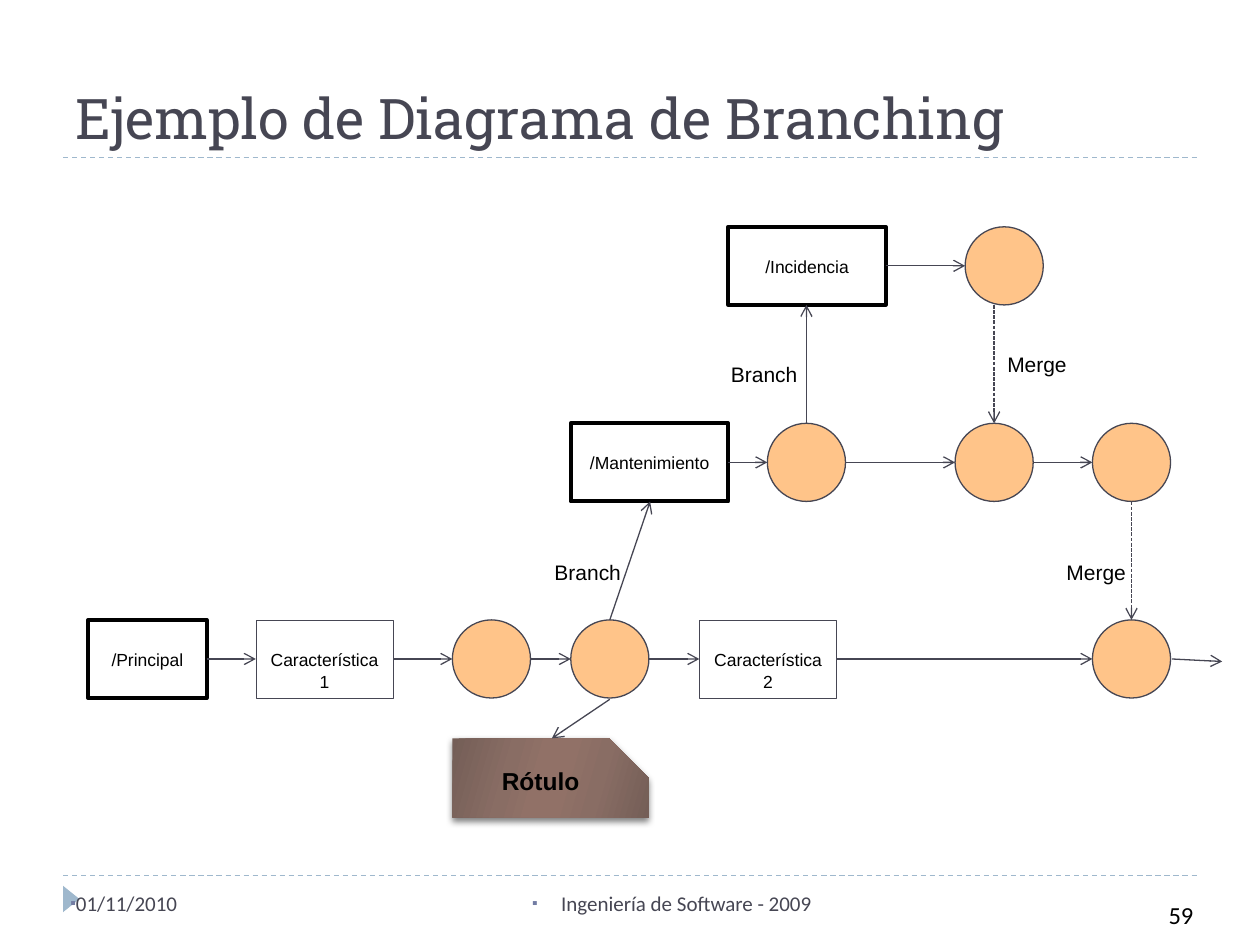
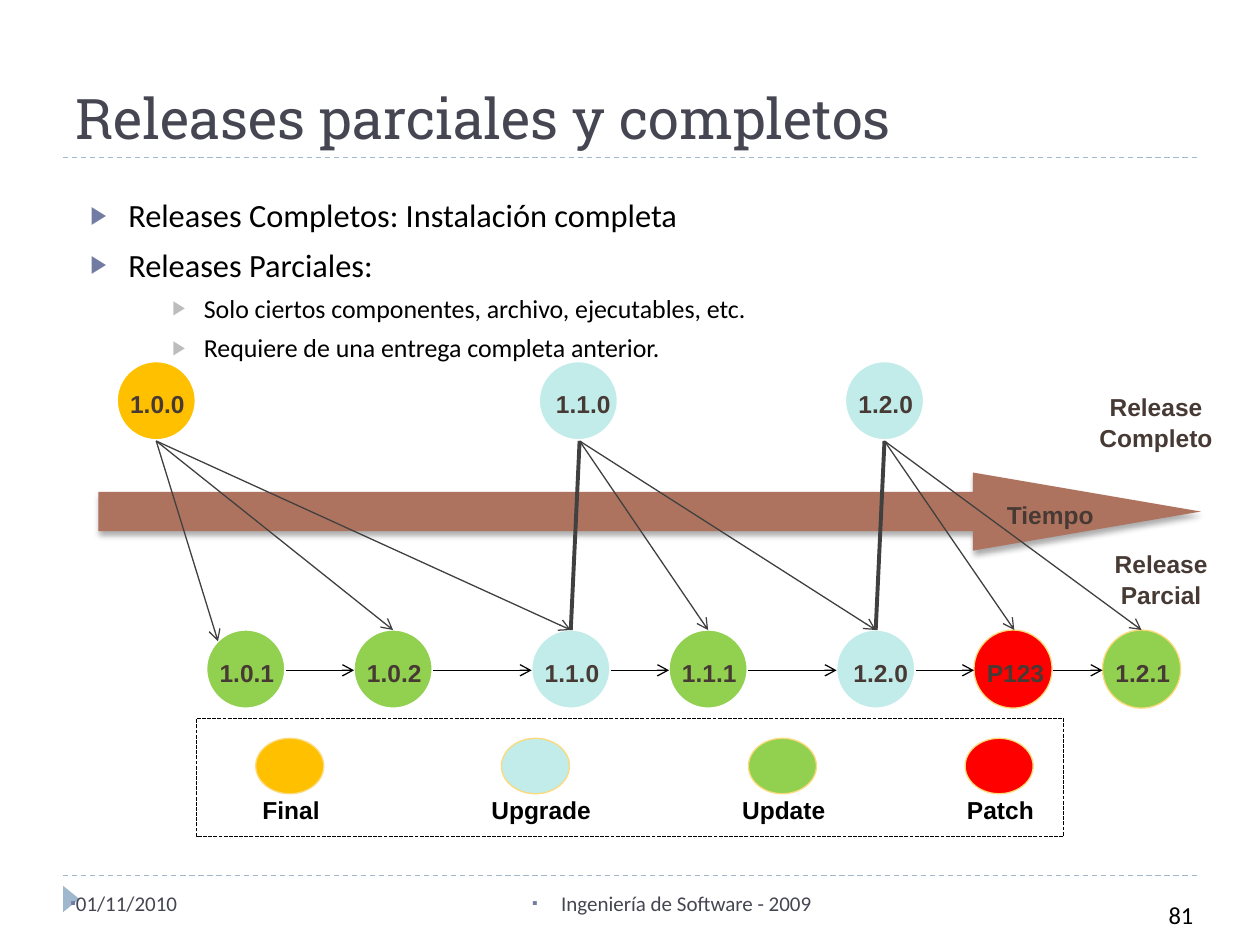
"""Build two slides on branching and on partial and full releases."""
from dataclasses import dataclass
from itertools import pairwise
from typing import Optional

from pptx import Presentation
from pptx import oxml, presentation as pres, slide as sl, util as u
from pptx.dml import color as dml_color
from pptx.enum import dml, shapes, text
from pptx.oxml import ns, xmlchemy
from pptx.shapes import autoshape, connector
from pptx.text import text as txt


@dataclass(frozen=True)
class Theme:
    ink: str = "464653"
    black: str = "000000"
    white: str = "FFFFFF"
    divider: str = "9FB8CD"
    bullet: str = "727CA3"
    sub_bullet: str = "BDBDBD"
    commit: str = "FFC489"
    time_band: str = "AE735E"
    label: str = "473A35"
    link: str = "404040"
    final: str = "FFC000"
    upgrade: str = "C2ECEA"
    update: str = "92D050"
    patch: str = "FF0000"
    gold: str = "FADA7A"
    title_font: str = "Roboto Slab"
    body_font: str = "Calibri"
    diagram_font: str = "Arial"
    title_size: float = 32
    body_size: float = 18.5
    sub_size: float = 14.8
    label_size: float = 14
    small_size: float = 12
    node_size: float = 10


THEME = Theme()
CIRCLE = 0.62
SYS_DASH = dml.MSO_LINE.SQUARE_DOT


@dataclass(frozen=True)
class Style:
    size: float
    color: str = THEME.black
    font: str = THEME.diagram_font
    bold: bool = False
    align: text.PP_ALIGN = text.PP_ALIGN.CENTER
    line_spacing: Optional[float] = 1.05
    space_before: float = 0


@dataclass(frozen=True)
class Bullet:
    char: str
    color: str
    percent: int
    margin: float = 0
    hanging: float = 0


@dataclass(frozen=True)
class Node:
    left: float
    width: float = CIRCLE
    name: str = ""
    branch: bool = False


@dataclass(frozen=True)
class Version:
    name: str
    left: float
    fill: str
    line: str = THEME.white
    label_width: float = 0.64


@dataclass(frozen=True)
class Caption:
    words: str
    left: float
    top: float
    width: float
    height: float = 0.35
    wrap: bool = False


NODE_TEXT = Style(THEME.node_size)
CAPTION_TEXT = Style(THEME.small_size)
LABEL_TEXT = Style(THEME.label_size, THEME.label, bold=True)
LEGEND_TEXT = Style(THEME.label_size, bold=True)
TITLE_TEXT = Style(THEME.title_size, THEME.ink, THEME.title_font, align=text.PP_ALIGN.LEFT, line_spacing=None)
DATE_TEXT = Style(THEME.small_size, THEME.ink, THEME.body_font, align=text.PP_ALIGN.LEFT, line_spacing=None)
FOOTER_TEXT = Style(THEME.small_size, THEME.ink, THEME.body_font, align=text.PP_ALIGN.RIGHT, line_spacing=None)
NUMBER_TEXT = Style(THEME.label_size, font=THEME.body_font, align=text.PP_ALIGN.RIGHT, line_spacing=None)
BODY_TEXT = Style(THEME.body_size, font=THEME.body_font, align=text.PP_ALIGN.LEFT, line_spacing=None, space_before=6)
SUB_TEXT = Style(THEME.sub_size, font=THEME.body_font, align=text.PP_ALIGN.LEFT, line_spacing=None, space_before=5)
BODY_BULLET = Bullet("▶", THEME.bullet, 76, 0.3, 0.3)
SUB_BULLET = Bullet("▶", THEME.sub_bullet, 76, 0.9, 0.25)

ROWS: dict[float, list[Node]] = {
    4.92: [Node(0.7, 0.94, "/Principal", True), Node(2.03, 1.09, "Característica 1"), Node(3.59),
           Node(4.53), Node(5.55, 1.09, "Característica 2"), Node(8.67)],
    3.36: [Node(4.53, 1.25, "/Mantenimiento", True), Node(6.09), Node(7.58), Node(8.67)],
    1.8: [Node(5.78, 1.25, "/Incidencia", True), Node(7.66)],
}
BRANCH_CAPTIONS = [Caption("Branch", 4.3, 4.38, 0.73, 0.3), Caption("Branch", 5.7, 2.81, 0.73, 0.3),
                   Caption("Merge", 7.89, 2.73, 0.68, 0.3), Caption("Merge", 8.36, 4.38, 0.68, 0.3)]

FULL_RELEASES = [Version("1.0.0", 0.93, THEME.final), Version("1.1.0", 4.28, THEME.upgrade, label_width=0.7),
                 Version("1.2.0", 6.71, THEME.upgrade)]
PARTIAL_RELEASES = [Version("1.0.1", 1.64, THEME.update), Version("1.0.2", 2.81, THEME.update),
                    Version("1.1.0", 4.22, THEME.upgrade), Version("1.1.1", 5.31, THEME.update),
                    Version("1.2.0", 6.64, THEME.upgrade, label_width=0.7),
                    Version("P123", 7.73, THEME.patch, THEME.gold, 0.66),
                    Version("1.2.1", 8.75, THEME.update, THEME.gold)]
FANS = {1.24: [(1.73, 5.09), (3.12, 5), (4.53, 5)], 4.6: [(5.62, 5), (6.95, 5)], 7.02: [(8.05, 5), (9.06, 5)]}
SAME_RELEASE = [(4.6, 4.53), (7.02, 6.95)]
LEGEND = [Version("Final", 2.03, THEME.final, label_width=1.02),
          Version("Upgrade", 3.98, THEME.upgrade, label_width=1.09),
          Version("Update", 5.94, THEME.update, label_width=1.02),
          Version("Patch", 7.66, THEME.patch, label_width=1.02)]
RELEASE_CAPTIONS = [Caption("Tiempo", 7.89, 3.91, 0.89), Caption("Release Parcial", 8.67, 4.3, 1.09, 0.6, True),
                    Caption("Release Completo", 8.59, 3.05, 1.17, 0.6, True)]


def rgb(color: str) -> dml_color.RGBColor:
    return dml_color.RGBColor.from_string(color)


def add_child(parent: xmlchemy.BaseOxmlElement, tag: str, **attributes: object) -> xmlchemy.BaseOxmlElement:
    child = xmlchemy.OxmlElement(tag)
    for name, value in attributes.items():
        child.set(name, str(value))
    parent.append(child)
    return child


def set_bullet(paragraph: txt._Paragraph, bullet: Bullet) -> None:
    properties = paragraph._p.get_or_add_pPr()
    properties.set("marL", str(u.Inches(bullet.margin)))
    properties.set("indent", str(-u.Inches(bullet.hanging)))
    add_child(add_child(properties, "a:buClr"), "a:srgbClr", val=bullet.color)
    add_child(properties, "a:buSzPct", val=bullet.percent * 1000)
    add_child(properties, "a:buFont", typeface=THEME.diagram_font)
    add_child(properties, "a:buChar", char=bullet.char)


def write(paragraph: txt._Paragraph, words: str, style: Style, bullet: Optional[Bullet] = None) -> None:
    if bullet:
        set_bullet(paragraph, bullet)
    paragraph.alignment = style.align
    if style.line_spacing:
        paragraph.line_spacing = style.line_spacing
    run = paragraph.add_run()
    run.text = words
    run.font.name = style.font
    run.font.size = u.Pt(style.size)
    run.font.bold = style.bold
    run.font.color.rgb = rgb(style.color)


def add_text(slide: sl.Slide, caption: Caption, style: Style, bullet: Optional[Bullet] = None) -> None:
    box = slide.shapes.add_textbox(*map(u.Inches, (caption.left, caption.top, caption.width, caption.height)))
    box.text_frame.word_wrap = caption.wrap
    write(box.text_frame.paragraphs[0], caption.words, style, bullet)


def add_shape(slide: sl.Slide, kind: shapes.MSO_SHAPE, left: float, top: float, width: float, height: float,
              fill: Optional[str] = None, line: Optional[str] = None, weight: float = 0.75) -> autoshape.Shape:
    shape = slide.shapes.add_shape(kind, *map(u.Inches, (left, top, width, height)))
    shape.shadow.inherit = False
    if fill:
        shape.fill.solid()
        shape.fill.fore_color.rgb = rgb(fill)
    else:
        shape.fill.background()
    if line:
        shape.line.color.rgb = rgb(line)
        shape.line.width = u.Pt(weight)
    else:
        shape.line.fill.background()
    shape.text_frame.vertical_anchor = text.MSO_ANCHOR.TOP
    return shape


def add_line(slide: sl.Slide, start: tuple[float, float], end: tuple[float, float], color: str = THEME.ink,
             weight: float = 0.75, dash: Optional[dml.MSO_LINE] = None, arrow: bool = True) -> connector.Connector:
    line = slide.shapes.add_connector(shapes.MSO_CONNECTOR.STRAIGHT, *map(u.Inches, start + end))
    line.line.color.rgb = rgb(color)
    line.line.width = u.Pt(weight)
    if dash:
        line.line.dash_style = dash
    if arrow:
        add_child(line.line._get_or_add_ln(), "a:tailEnd", type="arrow")
    add_child(line._element.spPr, "a:effectLst")
    return line


def set_shadow(shape: autoshape.Shape, alpha: int, blur: float, distance: float) -> None:
    effects = shape._element.spPr.find(ns.qn("a:effectLst"))
    shadow = add_child(effects, "a:outerShdw", blurRad=u.Pt(blur), dist=u.Pt(distance), dir=90 * 60000,
                       algn="ctr", rotWithShape=0)
    add_child(add_child(shadow, "a:srgbClr", val=THEME.black), "a:alpha", val=alpha * 1000)


def set_gradient(shape: autoshape.Shape, stops: list[tuple[int, str]], angle: int) -> None:
    entries = "".join(f'<a:gs pos="{position * 1000}"><a:srgbClr val="{color}"/></a:gs>' for position, color in stops)
    gradient = oxml.parse_xml(f'<a:gradFill {ns.nsdecls("a")} rotWithShape="1"><a:gsLst>{entries}</a:gsLst>'
                              f'<a:lin ang="{angle * 60000}" scaled="0"/></a:gradFill>')
    properties = shape._element.spPr
    properties.replace(properties.find(ns.qn("a:noFill")), gradient)


def start_slide(presentation: pres.Presentation, title: str, number: int) -> sl.Slide:
    slide = presentation.slides.add_slide(presentation.slide_layouts[5])
    heading = slide.shapes.title
    heading.left, heading.top, heading.width, heading.height = map(u.Inches, (0.5, 0.17, 9, 1.08))
    heading.text_frame.vertical_anchor = text.MSO_ANCHOR.BOTTOM
    write(heading.text_frame.paragraphs[0], title, TITLE_TEXT)
    for y in (6.95, 1.25):
        add_line(slide, (0.5, y), (9.5, y), THEME.divider, dash=dml.MSO_LINE.DASH, arrow=False)
    marker = add_shape(slide, shapes.MSO_SHAPE.ISOSCELES_TRIANGLE, 0.46, 7.07, 0.21, 0.13, THEME.divider)
    marker.rotation = 90
    add_text(slide, Caption("01/11/2010", 0.46, 7.02, 2.33, 0.4, True), DATE_TEXT, Bullet("▪", THEME.bullet, 76))
    add_text(slide, Caption("Ingeniería de Software - 2009", 3.37, 7.02, 3.17, 0.4, True), FOOTER_TEXT,
             Bullet("▪", THEME.bullet, 76, 0.23, 0.23))
    add_text(slide, Caption(str(number), 7.66, 7.09, 1.91, 0.33, True), NUMBER_TEXT)
    return slide


def add_node(slide: sl.Slide, node: Node, top: float) -> None:
    if not node.name:
        add_shape(slide, shapes.MSO_SHAPE.OVAL, node.left, top, CIRCLE, CIRCLE, THEME.commit, THEME.ink)
        return
    color, weight = (THEME.black, 2.25) if node.branch else (THEME.ink, 0.25)
    box = add_shape(slide, shapes.MSO_SHAPE.RECTANGLE, node.left, top, node.width, CIRCLE, None, color, weight)
    box.text_frame.margin_top = u.Inches(0.22)
    write(box.text_frame.paragraphs[0], node.name, NODE_TEXT)


def build_branching(presentation: pres.Presentation) -> None:
    slide = start_slide(presentation, "Ejemplo de Diagrama de Branching", 59)
    for top, nodes in ROWS.items():
        middle = top + CIRCLE / 2
        for node in nodes:
            add_node(slide, node, top)
        for before, after in pairwise(nodes):
            add_line(slide, (before.left + before.width, middle), (after.left, middle))
    add_line(slide, (9.3, 5.23), (9.7, 5.25))
    add_line(slide, (4.84, 4.92), (5.16, 3.98))
    add_line(slide, (6.4, 3.36), (6.4, 2.42))
    add_line(slide, (7.89, 2.42), (7.89, 3.36), dash=SYS_DASH)
    add_line(slide, (8.98, 3.98), (8.98, 4.92), dash=SYS_DASH)
    for caption in BRANCH_CAPTIONS:
        add_text(slide, caption, CAPTION_TEXT)
    tag = add_shape(slide, shapes.MSO_SHAPE.SNIP_1_RECTANGLE, 3.59, 5.86, 1.56, 0.63)
    tag.adjustments[0] = 0.5
    set_gradient(tag, [(0, "745E57"), (30, "896D64"), (45, "917167"), (55, "917167"), (73, "896D64"),
                       (100, "745E57")], 16)
    set_shadow(tag, 50, 4, 2)
    write(tag.text_frame.paragraphs[0], "Rótulo", LEGEND_TEXT)
    add_line(slide, (4.84, 5.55), (4.38, 5.86))


def add_body(slide: sl.Slide) -> None:
    frame = slide.shapes.add_textbox(*map(u.Inches, (0.62, 1.5, 8.83, 1.25))).text_frame
    frame.word_wrap = True
    lines = [("Releases Completos: Instalación completa", BODY_TEXT, BODY_BULLET),
             ("Releases Parciales:", BODY_TEXT, BODY_BULLET),
             ("Solo ciertos componentes, archivo, ejecutables, etc.", SUB_TEXT, SUB_BULLET),
             ("Requiere de una entrega completa anterior.", SUB_TEXT, SUB_BULLET)]
    for index, (words, style, bullet) in enumerate(lines):
        paragraph = frame.add_paragraph() if index else frame.paragraphs[0]
        write(paragraph, words, style, bullet)
        if index:
            paragraph.space_before = u.Pt(style.space_before)


def build_releases(presentation: pres.Presentation) -> None:
    slide = start_slide(presentation, "Releases parciales y completos", 81)
    band = add_shape(slide, shapes.MSO_SHAPE.RIGHT_ARROW, 0.78, 3.75, 8.75, CIRCLE, THEME.time_band)
    band.adjustments[1] = 2.918
    set_shadow(band, 32, 3.5, 2.2)
    add_body(slide)
    for top, versions in ((2.87, FULL_RELEASES), (5, PARTIAL_RELEASES)):
        for version in versions:
            add_shape(slide, shapes.MSO_SHAPE.OVAL, version.left, top, CIRCLE, CIRCLE, version.fill, version.line)
            add_text(slide, Caption(version.name, version.left, top + 0.16, version.label_width), LABEL_TEXT)
    for before, after in pairwise(PARTIAL_RELEASES):
        add_line(slide, (before.left + 0.63, 5.32), (after.left, 5.32), THEME.black)
    for x, targets in FANS.items():
        for target in targets:
            add_line(slide, (x, 3.5), target, THEME.link)
    for upper, lower in SAME_RELEASE:
        add_line(slide, (upper, 3.5), (lower, 5), THEME.link, 2.25, arrow=False)
    for entry in LEGEND:
        add_shape(slide, shapes.MSO_SHAPE.OVAL, entry.left, 5.86, 0.54, 0.44, entry.fill, THEME.gold)
        add_text(slide, Caption(entry.name, entry.left - 0.23, 6.25, entry.label_width, wrap=True), LEGEND_TEXT)
    frame = add_shape(slide, shapes.MSO_SHAPE.RECTANGLE, 1.56, 5.7, 6.88, 0.94, None, THEME.black)
    frame.line.dash_style = SYS_DASH
    for caption in RELEASE_CAPTIONS:
        add_text(slide, caption, LABEL_TEXT)


def main() -> None:
    presentation = Presentation()
    presentation.slide_width, presentation.slide_height = u.Inches(10), u.Inches(7.5)
    build_branching(presentation)
    build_releases(presentation)
    presentation.save("out.pptx")


if __name__ == "__main__":
    main()
